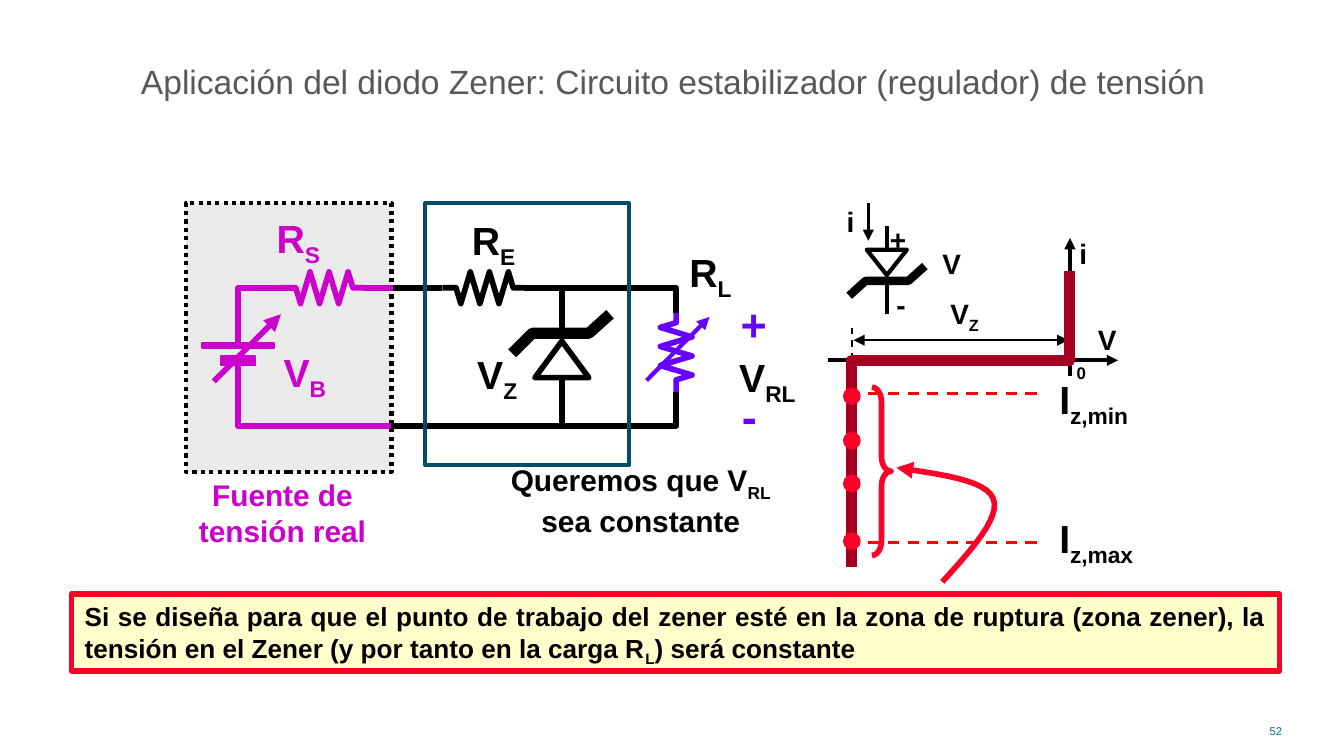
from lxml.etree import SubElement
from pptx import Presentation
from pptx.dml.color import RGBColor
from pptx.enum.dml import MSO_LINE
from pptx.enum.shapes import MSO_CONNECTOR, MSO_SHAPE
from pptx.enum.text import MSO_ANCHOR, MSO_AUTO_SIZE, PP_ALIGN
from pptx.oxml.ns import qn
from pptx.util import Cm, Pt

BLACK = RGBColor(0x00, 0x00, 0x00)
GREY = RGBColor(0x58, 0x58, 0x5B)
PANEL = RGBColor(0xEA, 0xEA, 0xEA)
MAGENTA = RGBColor(0xCC, 0x00, 0xCC)
VIOLET = RGBColor(0x66, 0x00, 0xFF)
CRIMSON = RGBColor(0xA5, 0x00, 0x21)
RED = RGBColor(0xFC, 0x01, 0x28)
DASH_RED = RGBColor(0xFF, 0x00, 0x00)
CREAM = RGBColor(0xFF, 0xFF, 0xCC)
NAVY = RGBColor(0x00, 0x4C, 0x69)
TEAL = RGBColor(0x08, 0x6D, 0x8E)


def style_line(shape, colour, width, dash=None, ends=()):
    """Set the outline, its arrowheads, and switch the shadow off."""
    shape.line.color.rgb = colour
    shape.line.width = Pt(width)
    if dash:
        shape.line.dash_style = dash
    properties = shape._element.spPr
    for end in ends:
        SubElement(properties.find(qn("a:ln")), qn("a:" + end)).set("type", "triangle")
    SubElement(properties, qn("a:effectLst"))


def write_text(frame, runs, size, colour, align=PP_ALIGN.LEFT, bold=True):
    """Write one paragraph; every second run is a subscript."""
    para = frame.paragraphs[0]
    para.alignment = align
    for index, words in enumerate(runs):
        span = para.add_run()
        span.text = words
        span.font.name = "Arial"
        span.font.size = Pt(size)
        span.font.bold = bold
        span.font.color.rgb = colour
        if index % 2:
            span._r.get_or_add_rPr().set("baseline", "-25000")


deck = Presentation()
deck.slide_width, deck.slide_height = Cm(25.4), Cm(14.29)
page = deck.slides.add_slide(deck.slide_layouts[5])
shapes = page.shapes

# Title
title = shapes.title
title.left, title.top, title.width, title.height = Cm(2.41), Cm(1.02), Cm(20.83), Cm(1.02)
title.text_frame.word_wrap = False
title.text_frame.auto_size = MSO_AUTO_SIZE.NONE
title.text_frame.vertical_anchor = MSO_ANCHOR.TOP
write_text(title.text_frame,
           ["Aplicación del diodo Zener: Circuito estabilizador (regulador) de tensión"],
           18, GREY, bold=False)

# Source panel and battery plates
panel = shapes.add_shape(MSO_SHAPE.RECTANGLE, Cm(3.51), Cm(3.84), Cm(3.89), Cm(5.08))
panel.fill.solid()
panel.fill.fore_color.rgb = PANEL
style_line(panel, BLACK, 2.25, MSO_LINE.ROUND_DOT)

for left, top, width, height, side, lead_y in [
    (3.82, 6.48, 1.36, 0.1, 0, 6.17),
    (4.18, 6.73, 0.64, 0.18, 2, 7.26),
]:
    plate = shapes.add_shape(MSO_SHAPE.RECTANGLE, Cm(left), Cm(top), Cm(width), Cm(height))
    plate.fill.solid()
    plate.fill.fore_color.rgb = MAGENTA
    style_line(plate, MAGENTA, 1)
    lead = shapes.add_connector(MSO_CONNECTOR.STRAIGHT, Cm(4.5), Cm(lead_y), Cm(4.5), Cm(top))
    lead.end_connect(plate, side)
    style_line(lead, MAGENTA, 3)

# Straight wires, axes and arrows
TAIL, BOTH = ["tailEnd"], ["headEnd", "tailEnd"]
for x1, y1, x2, y2, colour, width, dash, ends in [
    (15.65, 6.81, 21.13, 6.81, BLACK, 2, None, TAIL),
    (20.22, 7.11, 20.22, 4.5, BLACK, 2, None, TAIL),
    (16.41, 3.84, 16.41, 4.55, BLACK, 1.5, None, TAIL),
    (16.76, 4.27, 16.76, 4.72, BLACK, 2.25, None, ()),
    (16.76, 5.31, 16.76, 5.94, BLACK, 2.25, None, ()),
    (16.13, 6.43, 20.19, 6.43, BLACK, 1, None, BOTH),
    (16.1, 6.81, 16.1, 6.2, BLACK, 1, MSO_LINE.DASH, ()),
    (6.88, 5.44, 7.44, 5.44, MAGENTA, 3, None, ()),
    (4.04, 7.21, 5.31, 5.94, MAGENTA, 3, None, TAIL),
    (7.42, 5.44, 8.36, 5.44, BLACK, 3, None, ()),
    (10.62, 6.32, 10.62, 5.44, BLACK, 3, None, ()),
    (10.62, 8.03, 10.62, 7.09, BLACK, 3, None, ()),
    (12.22, 7.19, 13.41, 5.99, VIOLET, 2.25, None, TAIL),
    (16.41, 7.44, 19.69, 7.44, DASH_RED, 1.5, MSO_LINE.DASH, ()),
    (16.41, 10.26, 19.69, 10.26, DASH_RED, 1.5, MSO_LINE.DASH, ()),
]:
    wire = shapes.add_connector(MSO_CONNECTOR.STRAIGHT, Cm(x1), Cm(y1), Cm(x2), Cm(y2))
    style_line(wire, colour, width, dash, ends)

# Resistor zigzag: distance along the wire, and sideways
zigzag = list(zip([0, 0.26, 0.35, 0.53, 0.71, 0.89, 1.07, 1.25, 1.34, 1.55],
                  [0, 0, 0.3, -0.3, 0.3, -0.3, 0.3, -0.3, 0, 0]))

# Curved pointer, sampled from two Bezier pieces
pointer = []
for a, b, c, d in [
    ((17.81, 11), (18.36, 10.39), (18.92, 9.78), (18.77, 9.42)),
    ((18.77, 9.42), (18.62, 9.07), (17.78, 8.97), (16.94, 8.84)),
]:
    for step in range(13):
        t = step / 12
        weights = (1 - t) ** 3, 3 * t * (1 - t) ** 2, 3 * t * t * (1 - t), t ** 3
        pointer.append(tuple(sum(w * p[axis] for w, p in zip(weights, (a, b, c, d)))
                             for axis in (0, 1)))

# Bent wires, resistors, zener bars and characteristic curve
for points, colour, width, ends in [
    ([(16.05, 5.59), (16.36, 5.31), (17.17, 5.31), (17.48, 5.03)], BLACK, 4.5, ()),
    ([(20.22, 5.13), (20.22, 6.81), (16.1, 6.81), (16.1, 10.72)], CRIMSON, 6, ()),
    ([(5.33 + along, 5.44 + side) for along, side in zigzag], MAGENTA, 3, ()),
    ([(8.36 + along, 5.44 + side) for along, side in zigzag], BLACK, 3, ()),
    ([(12.78 + side, 7.44 - along) for along, side in zigzag], VIOLET, 3, ()),
    ([(4.5, 6.22), (4.5, 5.44), (5.59, 5.44)], MAGENTA, 3, ()),
    ([(4.5, 7.26), (4.5, 8.05), (7.39, 8.05)], MAGENTA, 3, ()),
    ([(9.91, 5.44), (12.78, 5.44), (12.78, 5.92)], BLACK, 3, ()),
    ([(7.39, 8.05), (12.78, 8.05), (12.78, 7.42)], BLACK, 3, ()),
    ([(11.53, 5.94), (11.13, 6.3), (10.06, 6.3), (9.68, 6.68)], BLACK, 6, ()),
    (pointer, RED, 3, TAIL),
]:
    corners = [(Cm(x), Cm(y)) for x, y in points]
    builder = shapes.build_freeform(*corners[0])
    builder.add_line_segments(corners[1:], close=False)
    outline = builder.convert_to_shape()
    outline.fill.background()
    style_line(outline, colour, width, ends=ends)

# Diode triangles
for left, top, width, height, turn, weight in [
    (16.38, 4.72, 0.76, 0.48, 180, 2.25),
    (10.11, 6.45, 1.02, 0.69, 0, 3),
]:
    diode = shapes.add_shape(MSO_SHAPE.ISOSCELES_TRIANGLE, Cm(left), Cm(top), Cm(width), Cm(height))
    diode.rotation = turn
    diode.fill.background()
    style_line(diode, BLACK, weight)

# Working points and brace
for top in (7.34, 8.18, 8.99, 10.08):
    dot = shapes.add_shape(MSO_SHAPE.OVAL, Cm(15.95), Cm(top), Cm(0.3), Cm(0.3))
    dot.fill.solid()
    dot.fill.fore_color.rgb = RED
    style_line(dot, RED, 1)
brace = shapes.add_shape(MSO_SHAPE.RIGHT_BRACE, Cm(16.48), Cm(7.32), Cm(0.36), Cm(3.18))
brace.adjustments[0] = 0.77
brace.fill.background()
style_line(brace, RED, 3)

# Regulator frame
regulator = shapes.add_shape(MSO_SHAPE.RECTANGLE, Cm(8.03), Cm(3.84), Cm(3.86), Cm(4.95))
regulator.fill.background()
style_line(regulator, NAVY, 2)

# Symbol labels
heights = {9: 0.58, 15: 0.84, 21: 1.09, 24: 1.22}
for left, top, width, size, colour, runs in [
    (15.82, 3.76, 0.53, 15, BLACK, ["i"]),
    (16.64, 4.11, 0.69, 15, BLACK, ["+"]),
    (16.76, 5.33, 0.56, 15, BLACK, ["-"]),
    (17.63, 4.57, 0.74, 15, BLACK, ["V"]),
    (20.22, 4.37, 0.69, 15, BLACK, ["i"]),
    (20.57, 5.99, 0.74, 15, BLACK, ["V"]),
    (20.17, 6.76, 0.38, 9, BLACK, ["0"]),
    (17.78, 5.51, 0.97, 15, BLACK, ["V", "Z"]),
    (5.18, 6.48, 1.24, 21, MAGENTA, ["V", "B"]),
    (5.05, 3.96, 1.24, 21, MAGENTA, ["R", "S"]),
    (12.85, 4.6, 1.22, 21, BLACK, ["R", "L"]),
    (8.74, 3.99, 1.24, 21, BLACK, ["R", "E"]),
    (8.84, 6.53, 1.19, 21, BLACK, ["V", "Z"]),
    (13.79, 6.58, 1.55, 21, BLACK, ["V", "RL"]),
    (13.82, 5.51, 0.89, 24, VIOLET, ["+"]),
    (13.84, 7.24, 0.66, 24, VIOLET, ["-"]),
    (19.84, 6.99, 1.85, 21, BLACK, ["I", "z,min"]),
    (19.84, 9.63, 1.98, 21, BLACK, ["I", "z,max"]),
]:
    box = shapes.add_textbox(Cm(left), Cm(top), Cm(width), Cm(heights[size]))
    frame = box.text_frame
    frame.word_wrap = False
    frame.margin_left = frame.margin_right = Cm(0.18)
    frame.margin_top = frame.margin_bottom = Cm(0.1)
    write_text(frame, runs, size, colour)

# Captions and page number
for left, top, width, height, size, colour, align, bold, runs in [
    (3.18, 8.89, 4.32, 1.63, 16, MAGENTA, PP_ALIGN.CENTER, True, ["Fuente de tensión real"]),
    (9.19, 8.61, 5.84, 1.63, 16, BLACK, PP_ALIGN.CENTER, True,
     ["Queremos que V", "RL", " sea constante"]),
    (23.55, 13.56, 0.93, 0.43, 6, TEAL, PP_ALIGN.RIGHT, False, ["52"]),
]:
    caption = shapes.add_textbox(Cm(left), Cm(top), Cm(width), Cm(height))
    caption.text_frame.word_wrap = True
    write_text(caption.text_frame, runs, size, colour, align, bold)

# Conclusion
note = shapes.add_shape(MSO_SHAPE.RECTANGLE, Cm(1.35), Cm(11.23), Cm(22.83), Cm(1.45))
note.fill.solid()
note.fill.fore_color.rgb = CREAM
style_line(note, RED, 3)
note.text_frame.word_wrap = True
note.text_frame.vertical_anchor = MSO_ANCHOR.TOP
write_text(note.text_frame,
           ["Si se diseña para que el punto de trabajo del zener esté en la zona de ruptura "
            "(zona zener), la tensión en el Zener (y por tanto en la carga R",
            "L", ") será constante"],
           14, BLACK, PP_ALIGN.JUSTIFY)

deck.save("out.pptx")
